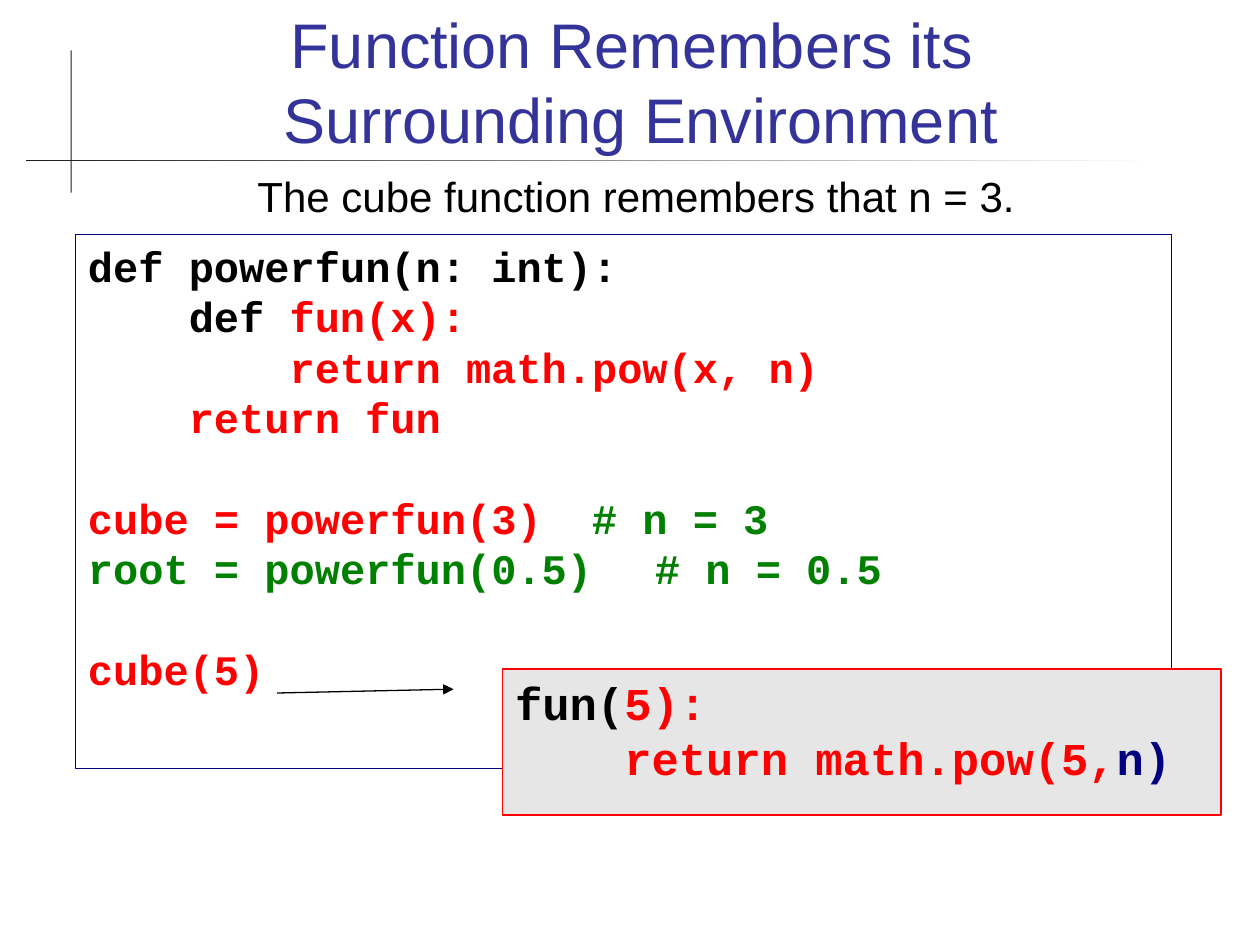
from dataclasses import dataclass
from lxml import etree
from pptx import Presentation
from pptx.dml.color import RGBColor
from pptx.enum.shapes import MSO_CONNECTOR, MSO_SHAPE
from pptx.enum.text import MSO_ANCHOR, PP_ALIGN
from pptx.oxml.ns import qn
from pptx.util import Inches, Pt

RECT = MSO_SHAPE.RECTANGLE
LINE = MSO_CONNECTOR.STRAIGHT
TOP, BOTTOM = MSO_ANCHOR.TOP, MSO_ANCHOR.BOTTOM
LEFT, CENTER = PP_ALIGN.LEFT, PP_ALIGN.CENTER


@dataclass(frozen=True)
class Theme:
    """Colours, fonts and type sizes."""
    title: str = "333399"
    ink: str = "000000"
    rule: str = "1C1C1C"
    paper: str = "FFFFFF"
    red: str = "FF0000"
    green: str = "008000"
    navy: str = "000080"
    gray: str = "E6E6E6"
    sans: str = "Arial"
    mono: str = "Courier New"
    head: int = 36
    body: int = 24
    call: int = 26
    pitch: float = 1.2
    lead: float = 5
    edge: float = 0.75


@dataclass(frozen=True)
class Row:
    """One code line: coloured words, indent level, blank lines above."""
    words: tuple[tuple[str, str], ...]
    level: int = 0
    gap: int = 0


@dataclass(frozen=True)
class Panel:
    """A framed box of code."""
    box: tuple[float, float, float, float]
    size: int
    edge: str
    fill: str | None
    rows: tuple[Row, ...]


T = Theme()
PANELS = (
    Panel((0.6, 1.86, 8.7, 4.24), T.body, T.navy, None, (
        Row((("def powerfun(n: int):", T.ink),)),
        Row((("def ", T.ink), ("fun(x):", T.red)), 1),
        Row((("return math.pow(x, n)", T.red),), 2),
        Row((("return fun", T.red),), 1),
        Row((("cube = powerfun(3)\t", T.red), ("# n = 3", T.green)), gap=1),
        Row((("root = powerfun(0.5)\t# n = 0.5", T.green),)),
        Row((("cube(5)", T.red),), gap=1))),
    Panel((3.99, 5.31, 5.7, 1.16), T.call, T.red, T.gray, (
        Row((("fun(", T.ink), ("5):", T.red))),
        Row((("return math.pow(5,", T.red), ("n)", T.navy)), 1))),
)


def tint(code: str) -> RGBColor:
    """Turn a hex code into a colour."""
    return RGBColor.from_string(code)


def style(run, size: int, font: str, color: str, bold: bool = False) -> None:
    """Set the look of a run."""
    run.font.size = Pt(size)
    run.font.name = font
    run.font.bold = bold
    run.font.color.rgb = tint(color)


def block(slide, box: tuple[float, float, float, float]):
    """Add a plain rectangle without shadow, fill or line."""
    shape = slide.shapes.add_shape(RECT, *map(Inches, box))
    shape.shadow.inherit = False
    shape.fill.background()
    shape.line.fill.background()
    return shape


def label(slide, box: tuple[float, float, float, float], text: str, size: int,
          color: str, anchor, above: float = 0) -> None:
    """Add centred text."""
    frame = slide.shapes.add_textbox(*map(Inches, box)).text_frame
    frame.word_wrap = True
    frame.vertical_anchor = anchor
    frame.text = text
    para = frame.paragraphs[0]
    para.alignment = CENTER
    para.space_before = Pt(above)
    for run in para.runs:
        style(run, size, T.sans, color)


def write(para, row: Row, size: int, first: bool) -> None:
    """Fill a paragraph with one code line."""
    cell = 0.6 * size
    pitch = T.pitch * size
    para.alignment = LEFT
    para.line_spacing = Pt(pitch)
    para.space_before = Pt(T.lead if first else row.gap * pitch)
    for text, color in row.words:
        run = para.add_run()
        run.text = text
        style(run, size, T.mono, color, True)
    props = para._p.get_or_add_pPr()
    props.set("marL", str(Pt(4 * row.level * cell)))
    props.set("indent", "0")
    if any("\t" in text for text, _ in row.words):
        tabs = etree.SubElement(props, qn("a:tabLst"))
        etree.SubElement(tabs, qn("a:tab"), pos=str(Pt(23 * cell)), algn="l")


def code(slide, panel: Panel) -> None:
    """Draw a code panel."""
    shape = block(slide, panel.box)
    if panel.fill:
        shape.fill.solid()
        shape.fill.fore_color.rgb = tint(panel.fill)
    shape.line.color.rgb = tint(panel.edge)
    shape.line.width = Pt(T.edge)
    frame = shape.text_frame
    frame.word_wrap = True
    frame.vertical_anchor = TOP
    for i, row in enumerate(panel.rows):
        para = frame.add_paragraph() if i else frame.paragraphs[0]
        write(para, row, panel.size, i == 0)


def rules(slide) -> None:
    """Draw the upright bar and the fading rule."""
    bar = block(slide, (0.56, 0.4, 0.01, 1.13))
    bar.fill.solid()
    bar.fill.fore_color.rgb = tint(T.rule)
    fade = block(slide, (0.21, 1.27, 8.98, 0.01)).fill
    fade.gradient()
    fade.gradient_angle = 180
    for stop, color, pos in zip(fade.gradient_stops, (T.paper, T.rule), (0, 1)):
        stop.color.rgb = tint(color)
        stop.position = pos


def arrow(slide, start: tuple[float, float], end: tuple[float, float]) -> None:
    """Draw a line with an arrowhead at its end."""
    line = slide.shapes.add_connector(LINE, *map(Inches, start + end))
    line.line.color.rgb = tint(T.ink)
    line.line.width = Pt(T.edge)
    edge = line._element.spPr.find(qn("a:ln"))
    etree.SubElement(edge, qn("a:tailEnd"), type="triangle")
    etree.SubElement(line._element.spPr, qn("a:effectLst"))


def main() -> None:
    """Build and save the slide."""
    deck = Presentation()
    deck.slide_width, deck.slide_height = Inches(10), Inches(7.5)
    slide = deck.slides.add_slide(deck.slide_layouts[6])
    rules(slide)
    label(slide, (0.67, 0.36, 8.83, 0.93),
          "Function Remembers its \vSurrounding Environment",
          T.head, T.title, BOTTOM)
    label(slide, (0.55, 1.3, 9, 0.92), "The cube function remembers that n = 3.",
          T.body, T.ink, TOP, 5.7)
    for panel in PANELS:
        code(slide, panel)
    arrow(slide, (2.2, 5.5), (3.6, 5.47))
    deck.save("out.pptx")


main()
